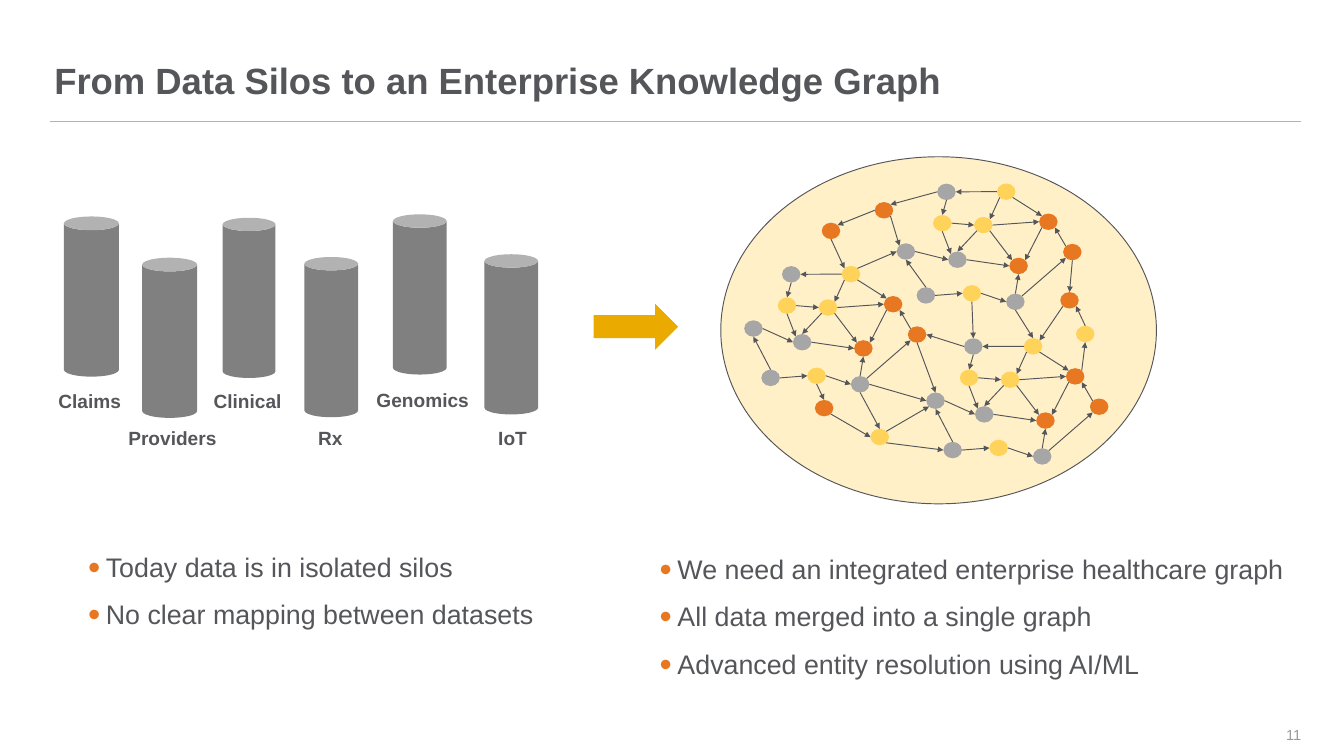
from dataclasses import dataclass

from lxml import etree
from pptx import Presentation
from pptx import util as u
from pptx.dml.color import RGBColor
from pptx.enum import shapes, text
from pptx.oxml.ns import qn


@dataclass(frozen=True)
class Theme:
    face: str = "Arial"
    ink: str = "55565A"
    rule: str = "B1B3B3"
    pale: str = "999A9B"
    silo: str = "808080"
    arrow: str = "EAAA00"
    cloud: str = "FFF0C8"
    gray: str = "A6A6A6"
    gold: str = "FFD259"
    orange: str = "E87722"
    title: float = 38.2
    body: float = 28.1
    label: float = 20
    small: float = 15.3


THEME = Theme()
KIND = shapes.MSO_SHAPE
LEFT, RIGHT, MID = text.PP_ALIGN.LEFT, text.PP_ALIGN.RIGHT, text.PP_ALIGN.CENTER
TOP, BASE = text.MSO_ANCHOR.TOP, text.MSO_ANCHOR.BOTTOM

SILOS = [
    ("Claims", 67, 226.8, 57.6, 54, 404.6, 80.6, LEFT),
    ("Providers", 149, 270, 57.6, 127.4, 443.5, 108, LEFT),
    ("Clinical", 233.3, 228.2, 55.4, 216.7, 404.6, 86.4, LEFT),
    ("Rx", 319, 269.3, 56.2, 326.2, 443.5, 40.3, LEFT),
    ("Genomics", 411.8, 224.6, 56.2, 387.4, 403.2, 112.3, LEFT),
    ("IoT", 507.6, 266.4, 56.2, 514.8, 443.5, 44.6, MID),
]

NODE_W, NODE_H = 19.4, 17.2
HUBS = {"1": (882, 278.6), "2": (1044.7, 192.2), "3": (1072.8, 354.2)}
GROUP = {
    "A": (0, 0, THEME.gold),
    "B": (44.2, 31.5, THEME.orange),
    "C": (-24, 35, THEME.gold),
    "D": (13, 77.8, THEME.orange),
    "E": (-51.1, 71.3, THEME.gray),
    "F": (-36, 106.5, THEME.gold),
    "G": (69.3, 63.3, THEME.orange),
    "H": (9.6, 115.4, THEME.gray),
    "I": (-62.6, 0.2, THEME.gray),
    "J": (-67, 33, THEME.gold),
    "K": (-102.2, 57, THEME.gray),
    "L": (-84.2, 108.7, THEME.gray),
}
EXTRA = {
    "K2": (939.6, 254.9, THEME.gray),
    "M": (912.2, 449.3, THEME.gold),
    "N": (853.9, 419, THEME.orange),
    "P": (1111, 306, THEME.orange),
    "Q": (1127.5, 341.3, THEME.gold),
    "R": (916.6, 211.7, THEME.orange),
    "S": (861.1, 233.3, THEME.orange),
}
INNER = """
A se B nw, C se D nw, E e D w, C e B w, B sw D ne, H n D s,
H ne G sw, G nw B se, A sw C ne, C sw E n, F e H w, K e E w,
A w I e, J e C w, L e F w, L n K s, I s J n, J s E nw
"""
OUTER = """
A1 ne K2 w, F2 s I3 n, I3 w G1 e, G1 s K3 n, H1 e K3 w, H2 s A3 n,
F1 s N n, N se M w, H1 s M n, M ne K3 sw, M se L3 w, B3 ne Q s,
Q n P se, P sw A3 ne, G2 s P n, I2 w R ne, R w S ne, R se K2 nw, S s A1 nw
"""


def hue(code):
    return RGBColor.from_string(code)


def place(item, x, y, w, h):
    item.left, item.top, item.width, item.height = map(u.Pt, (x, y, w, h))


def dot(par):
    props = par._p.get_or_add_pPr()
    props.set("marL", str(u.Pt(18.7)))
    props.set("indent", str(-u.Pt(18.7)))
    tint = etree.SubElement(props, qn("a:buClr"))
    etree.SubElement(tint, qn("a:srgbClr"), val=THEME.orange)
    etree.SubElement(props, qn("a:buSzPct"), val="130000")
    etree.SubElement(props, qn("a:buFont"), typeface=THEME.face)
    etree.SubElement(props, qn("a:buChar"), char="•")


def write(item, *lines, size, tint=THEME.ink, bold=False, align=LEFT, anchor=TOP,
          wrap=True, pad=0, space=None, before=0, after=0, bullet=False):
    frame = item.text_frame
    frame.word_wrap = wrap
    frame.auto_size = text.MSO_AUTO_SIZE.NONE if wrap else text.MSO_AUTO_SIZE.SHAPE_TO_FIT_TEXT
    frame.vertical_anchor = anchor
    frame.margin_left = frame.margin_right = u.Pt(pad)
    frame.margin_top = frame.margin_bottom = u.Pt(pad / 2)
    for i, line in enumerate(lines):
        par = frame.add_paragraph() if i else frame.paragraphs[0]
        if bullet:
            dot(par)
        par.alignment = align
        par.line_spacing = space
        par.space_before = u.Pt(before if i else 0)
        par.space_after = u.Pt(after)
        run = par.add_run()
        run.text = line
        run.font.name, run.font.size, run.font.bold = THEME.face, u.Pt(size), bold
        run.font.color.rgb = hue(tint)


def box(slide, x, y, w, h, *lines, **form):
    write(slide.shapes.add_textbox(*map(u.Pt, (x, y, w, h))), *lines, **form)


def shape(slide, kind, x, y, w, h, fill, edge=None):
    item = slide.shapes.add_shape(kind, *map(u.Pt, (x, y, w, h)))
    item.shadow.inherit = False
    item.fill.solid()
    item.fill.fore_color.rgb = hue(fill)
    if edge:
        item.line.color.rgb = hue(edge)
        item.line.width = u.Pt(1)
    else:
        item.line.fill.background()


def link(slide, start, end, tint, head=False):
    item = slide.shapes.add_connector(shapes.MSO_CONNECTOR.STRAIGHT, *map(u.Pt, (*start, *end)))
    item.line.color.rgb = hue(tint)
    item.line.width = u.Pt(1)
    props = item._element.spPr
    if head:
        etree.SubElement(props.find(qn("a:ln")), qn("a:tailEnd"), type="triangle")
    etree.SubElement(props, qn("a:effectLst"))


def port(node, side):
    x, y, _ = node
    across = ("e" in side) - ("w" in side)
    down = ("s" in side) - ("n" in side)
    reach = 0.5 if len(side) == 1 else 0.35
    return x + NODE_W * (0.5 + reach * across), y + NODE_H * (0.5 + reach * down)


def pairs(block):
    return [part.split() for part in block.split(",")]


def graph(slide):
    shape(slide, KIND.OVAL, 755.3, 164.2, 456.5, 363.6, THEME.cloud, THEME.ink)
    nodes = {name + hub: (x + dx, y + dy, tint)
             for hub, (x, y) in HUBS.items()
             for name, (dx, dy, tint) in GROUP.items()}
    nodes.update(EXTRA)
    edges = [(a + hub, p, b + hub, q) for hub in HUBS for a, p, b, q in pairs(INNER)]
    for x, y, tint in nodes.values():
        shape(slide, KIND.OVAL, x, y, NODE_W, NODE_H, tint)
    for a, p, b, q in edges + pairs(OUTER):
        link(slide, port(nodes[a], p), port(nodes[b], q), THEME.ink, head=True)


def silos(slide):
    for name, x, y, w, left, top, width, align in SILOS:
        shape(slide, KIND.CAN, x, y, w, 167.8, THEME.silo)
        box(slide, left, top, width, 31.7, name, size=THEME.label, bold=True,
            align=align, wrap=False, pad=7.2)


def main():
    deck = Presentation()
    deck.slide_width, deck.slide_height = u.Pt(1408.32), u.Pt(792)
    slide = deck.slides.add_slide(deck.slide_layouts[3])
    title, today, goal = slide.placeholders
    link(slide, (52.6, 127.4), (1363.7, 127.4), THEME.rule)
    place(title, 56.9, 36.7, 1306.8, 70.6)
    write(title, "From Data Silos to an Enterprise Knowledge Graph",
          size=THEME.title, bold=True, anchor=BASE, space=0.9)
    form = dict(size=THEME.body, space=0.95, before=10.2, after=7.7, bullet=True)
    place(today, 92.2, 578.9, 487.4, 76.3)
    write(today, "Today data is in isolated silos",
          "No clear mapping between datasets", **form)
    place(goal, 691.2, 581, 666, 146.2)
    write(goal, "We need an integrated enterprise healthcare graph",
          "All data merged into a single graph",
          "Advanced entity resolution using AI/ML", **form)
    silos(slide)
    shape(slide, KIND.RIGHT_ARROW, 622, 318.2, 88.6, 48.2, THEME.arrow)
    graph(slide)
    box(slide, 1301, 748.8, 62.6, 42.5, "11", size=THEME.small, tint=THEME.pale,
        align=RIGHT, anchor=text.MSO_ANCHOR.MIDDLE)
    deck.save("out.pptx")


if __name__ == "__main__":
    main()
